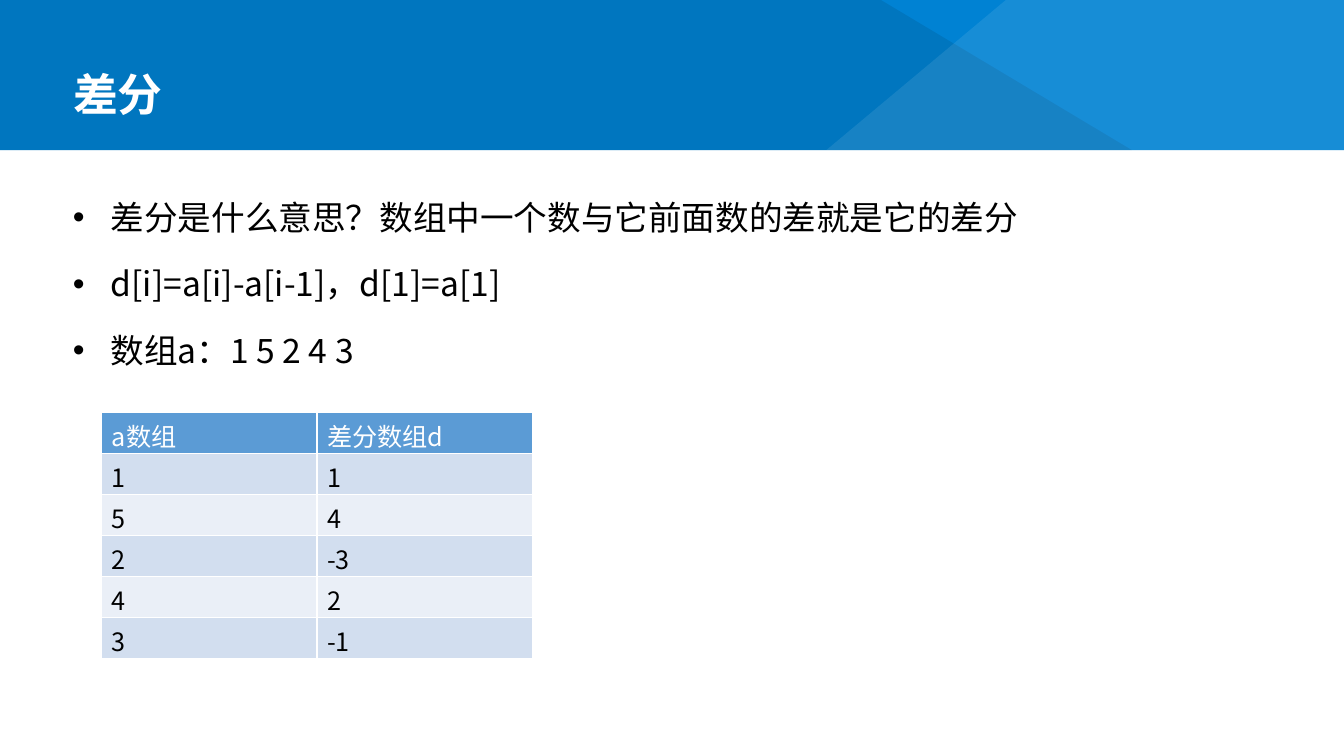
from lxml import etree
from pptx import Presentation
from pptx import util as u
from pptx.dml.color import RGBColor
from pptx.enum import shapes, text
from pptx.oxml.ns import qn

PX = u.Inches(1) // 96
FONT = "Noto Sans CJK SC"
COLORS = {
    "banner": "0082D3",
    "white": "FFFFFF",
    "black": "000000",
    "header": "5B9BD5",
    "odd_row": "D2DEEF",
    "even_row": "EAEFF7",
}
POINTS = [
    "差分是什么意思？数组中一个数与它前面数的差就是它的差分",
    "d[i]=a[i]-a[i-1]，d[1]=a[1]",
    "数组a：1 5 2 4 3",
]
ROWS = [("a数组", "差分数组d"), (1, 1), (5, 4), (2, -3), (4, 2), (3, -1)]


def px(*lengths):
    return [length * PX for length in lengths]


def color(name):
    return RGBColor.from_string(COLORS[name])


def write(paragraph, content, size, fill="black", bold=False, before=0, spacing=1.0):
    paragraph.alignment = text.PP_ALIGN.LEFT
    paragraph.space_before = u.Pt(before)
    paragraph.line_spacing = spacing
    run = paragraph.add_run()
    run.text = content
    run.font.name = FONT
    run.font.size = u.Pt(size)
    run.font.bold = bold
    run.font.color.rgb = color(fill)
    east_asian = etree.SubElement(run.font._element, qn("a:ea"))
    east_asian.set("typeface", FONT)


def paint(shape, fill, opacity=100):
    shape.shadow.inherit = False
    shape.fill.solid()
    shape.fill.fore_color.rgb = color(fill)
    shape.line.fill.background()
    if opacity < 100:
        solid = shape._element.spPr.find(qn("a:solidFill"))
        alpha = etree.SubElement(solid[0], qn("a:alpha"))
        alpha.set("val", str(opacity * 1000))


def add_banner(slide, left, top, width, height):
    background = slide.shapes.add_shape(
        shapes.MSO_SHAPE.RECTANGLE, *px(left, top, width, height))
    paint(background, "banner")
    right, bottom = left + width, top + height
    facets = [
        ("black", [(left, top), (left + 839, top), (left + 1078, bottom), (left, bottom)]),
        ("white", [(left + 958, top), (right, top), (right, bottom), (left + 787, bottom)]),
    ]
    for fill, corners in facets:
        builder = slide.shapes.build_freeform(*corners[0], scale=PX)
        builder.add_line_segments(corners[1:], close=True)
        paint(builder.convert_to_shape(), fill, opacity=9)


def place_title(slide, content, left, top, width, height):
    title = slide.shapes.title
    title.left, title.top, title.width, title.height = px(left, top, width, height)
    frame = title.text_frame
    frame.auto_size = text.MSO_AUTO_SIZE.NONE
    frame.vertical_anchor = text.MSO_ANCHOR.BOTTOM
    write(frame.paragraphs[0], content, 32, fill="white", bold=True, spacing=0.9)
    tree = slide.shapes._spTree
    tree.remove(title._element)
    tree.append(title._element)


def add_bullets(slide, points, left, top, width, height):
    frame = slide.shapes.add_textbox(*px(left, top, width, height)).text_frame
    frame.word_wrap = True
    for index, point in enumerate(points):
        paragraph = frame.add_paragraph() if index else frame.paragraphs[0]
        write(paragraph, point, 24, before=18.5 if index else 0)
        properties = paragraph._p.get_or_add_pPr()
        properties.set("marL", str(36 * PX))
        properties.set("indent", str(-36 * PX))
        bullet_font = etree.SubElement(properties, qn("a:buFont"))
        bullet_font.set("typeface", "Arial")
        bullet = etree.SubElement(properties, qn("a:buChar"))
        bullet.set("char", "•")


def add_borders(cell):
    properties = cell._tc.get_or_add_tcPr()
    for index, side in enumerate(("lnL", "lnR", "lnT", "lnB")):
        line = etree.Element(qn(f"a:{side}"), w=str(u.Pt(1)))
        solid = etree.SubElement(line, qn("a:solidFill"))
        etree.SubElement(solid, qn("a:srgbClr"), val=COLORS["white"])
        properties.insert(index, line)


def add_difference_table(slide, rows, left, top, width, height):
    table = slide.shapes.add_table(
        len(rows), len(rows[0]), *px(left, top, width, height)).table
    table.horz_banding = False
    for row_index, values in enumerate(rows):
        if row_index == 0:
            fill = "header"
        else:
            fill = "odd_row" if row_index % 2 else "even_row"
        for column_index, value in enumerate(values):
            cell = table.cell(row_index, column_index)
            cell.fill.solid()
            cell.fill.fore_color.rgb = color(fill)
            write(cell.text_frame.paragraphs[0], str(value), 18,
                  fill="black" if row_index else "white")
            add_borders(cell)


def build_slide(presentation):
    slide = presentation.slides.add_slide(presentation.slide_layouts[5])
    add_banner(slide, 0, 0, 1280, 143)
    place_title(slide, "差分", 60, 60, 930, 60)
    add_bullets(slide, POINTS, 60, 183, 1159, 477)
    add_difference_table(slide, ROWS, 97, 393, 410, 234)


def main():
    presentation = Presentation()
    presentation.slide_width, presentation.slide_height = px(1280, 720)
    build_slide(presentation)
    presentation.save("out.pptx")


if __name__ == "__main__":
    main()
